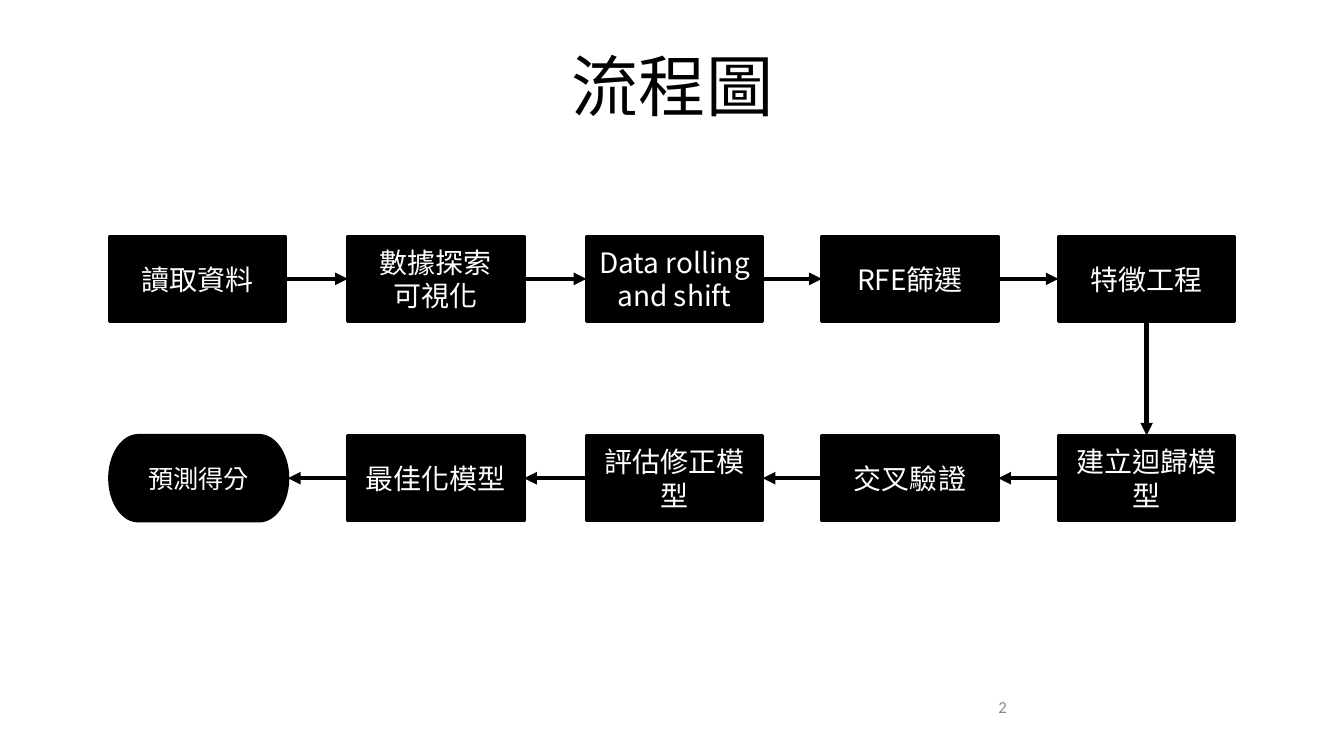
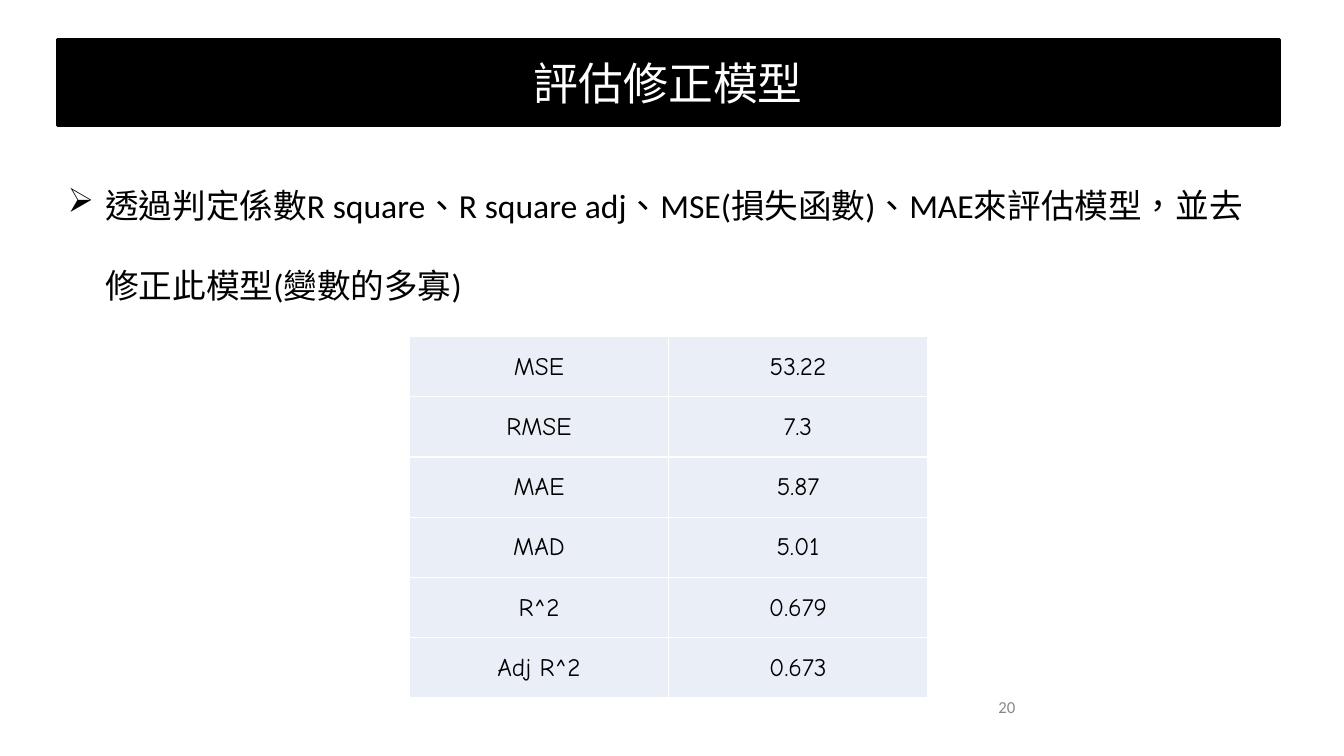
"""Build a process flowchart slide and a model evaluation slide."""
from lxml import etree
from pptx import Presentation
from pptx.dml.color import RGBColor
from pptx.enum.lang import MSO_LANGUAGE_ID
from pptx.enum.shapes import MSO_CONNECTOR, MSO_SHAPE
from pptx.enum.text import MSO_ANCHOR, PP_ALIGN
from pptx.oxml.ns import qn
from pptx.util import Pt

PROCESS = MSO_SHAPE.FLOWCHART_PROCESS
TERMINATOR = MSO_SHAPE.FLOWCHART_TERMINATOR
STRAIGHT = MSO_CONNECTOR.STRAIGHT
LEFT, CENTER = PP_ALIGN.LEFT, PP_ALIGN.CENTER
MIDDLE, BOTTOM = MSO_ANCHOR.MIDDLE, MSO_ANCHOR.BOTTOM
CHINESE = MSO_LANGUAGE_ID.TRADITIONAL_CHINESE
TOP_SITE, LEFT_SITE, BOTTOM_SITE, RIGHT_SITE = range(4)

BLACK, WHITE, GRAY, PALE_BLUE = "000000", "FFFFFF", "888888", "EAEFF7"
CJK_FONT, LATIN_FONT, TABLE_FONT = "Noto Sans CJK SC", "Calibri", "Comic Neue"


def write(text_frame, text, size, color=BLACK, font_name=CJK_FONT, alignment=CENTER, bullet=None):
    text_frame.word_wrap = True
    text_frame.text = text
    for paragraph in text_frame.paragraphs:
        paragraph.alignment = alignment
        if bullet:
            properties = paragraph._p.get_or_add_pPr()
            properties.set("marL", str(Pt(27)))
            properties.set("indent", str(Pt(-27)))
            etree.SubElement(properties, qn("a:buChar"), char=bullet)
        font = paragraph.font
        font.size = Pt(size)
        font.name = font_name
        font.color.rgb = RGBColor.from_string(color)
        font.language_id = CHINESE
        defaults = paragraph._p.pPr.find(qn("a:defRPr"))
        etree.SubElement(defaults, qn("a:ea"), typeface=CJK_FONT)


def add_black_box(slide, geometry, left, top, width, height, text, size):
    shape = slide.shapes.add_shape(geometry, Pt(left), Pt(top), Pt(width), Pt(height))
    shape.shadow.inherit = False
    shape.fill.solid()
    shape.fill.fore_color.rgb = RGBColor.from_string(BLACK)
    shape.line.color.rgb = RGBColor.from_string(BLACK)
    shape.line.width = Pt(2)
    shape.text_frame.vertical_anchor = MIDDLE
    write(shape.text_frame, text, size, WHITE)
    return shape


presentation = Presentation()
presentation.slide_width = Pt(960)
presentation.slide_height = Pt(540)
blank_layout = presentation.slide_layouts[6]

slides = []
for page_number in ("2", "20"):
    slide = presentation.slides.add_slide(blank_layout)
    number_box = slide.shapes.add_textbox(Pt(709.5), Pt(490.3), Pt(223.9), Pt(28.8))
    number_box.text_frame.vertical_anchor = MIDDLE
    number_box.text_frame.margin_left = Pt(3.6)
    write(number_box.text_frame, page_number, 12, GRAY, LATIN_FONT, LEFT)
    slides.append(slide)
flow_slide, evaluation_slide = slides

title = flow_slide.shapes.add_textbox(Pt(277), Pt(22.3), Pt(406.8), Pt(71.3))
title.text_frame.vertical_anchor = BOTTOM
write(title.text_frame, "流程圖", 48)
title.text_frame.paragraphs[0].line_spacing = 0.9

steps = ["讀取資料", "數據探索\n可視化", "Data rolling and shift", "RFE篩選", "特徵工程",
         "建立迴歸模型", "交叉驗證", "評估修正模型", "最佳化模型", "預測得分"]
column_lefts = (78.3, 248.4, 418.8, 587, 756)
columns = len(column_lefts)
row_tops = (168.6, 311)
boxes = []
for index, step in enumerate(steps):
    row, position = divmod(index, columns)
    column = columns - 1 - position if row else position
    is_last = index == len(steps) - 1
    boxes.append(add_black_box(flow_slide, TERMINATOR if is_last else PROCESS,
                               column_lefts[column], row_tops[row],
                               127.4 if is_last else 126, 61.2, step, 18 if is_last else 20))

for index, (source, target) in enumerate(zip(boxes, boxes[1:])):
    if index < columns - 1:
        start_site, end_site = RIGHT_SITE, LEFT_SITE
    elif index == columns - 1:
        start_site, end_site = BOTTOM_SITE, TOP_SITE
    else:
        start_site, end_site = LEFT_SITE, RIGHT_SITE
    arrow = flow_slide.shapes.add_connector(STRAIGHT, 0, 0, 0, 0)
    arrow.begin_connect(source, start_site)
    arrow.end_connect(target, end_site)
    arrow.line.color.rgb = RGBColor.from_string(BLACK)
    arrow.line.width = Pt(3)
    etree.SubElement(arrow.line._get_or_add_ln(), qn("a:tailEnd"), type="triangle")
    etree.SubElement(arrow._element.spPr, qn("a:effectLst"))

add_black_box(evaluation_slide, PROCESS, 41, 28.2, 873, 61.2, "評估修正模型", 32)

body = evaluation_slide.shapes.add_textbox(Pt(41.2), Pt(99.4), Pt(873), Pt(127.4))
write(body.text_frame,
      "透過判定係數R square、R square adj、MSE(損失函數)、MAE來評估模型，並去修正此模型(變數的多寡)",
      24, BLACK, LATIN_FONT, LEFT, "➢")
body.text_frame.paragraphs[0].line_spacing = 2.0

metrics = [("MSE", "53.22"), ("RMSE", "7.3"), ("MAE", "5.87"),
           ("MAD", "5.01"), ("R^2", "0.679"), ("Adj R^2", "0.673")]
table = evaluation_slide.shapes.add_table(
    len(metrics), 2, Pt(292.5), Pt(240.5), Pt(370), Pt(258)).table
table.first_row = False
table.horz_banding = False
for row, metric in enumerate(metrics):
    for column, text in enumerate(metric):
        cell = table.cell(row, column)
        cell.vertical_anchor = MIDDLE
        cell.margin_left = cell.margin_right = cell.margin_top = Pt(0.7)
        cell.margin_bottom = 0
        for side in ("L", "R", "T", "B"):
            border = etree.SubElement(cell._tc.get_or_add_tcPr(), qn(f"a:ln{side}"), w=str(Pt(1)))
            border_fill = etree.SubElement(border, qn("a:solidFill"))
            etree.SubElement(border_fill, qn("a:srgbClr"), val=WHITE)
        cell.fill.solid()
        cell.fill.fore_color.rgb = RGBColor.from_string(PALE_BLUE)
        write(cell.text_frame, text, 18, BLACK, TABLE_FONT)

presentation.save("out.pptx")
